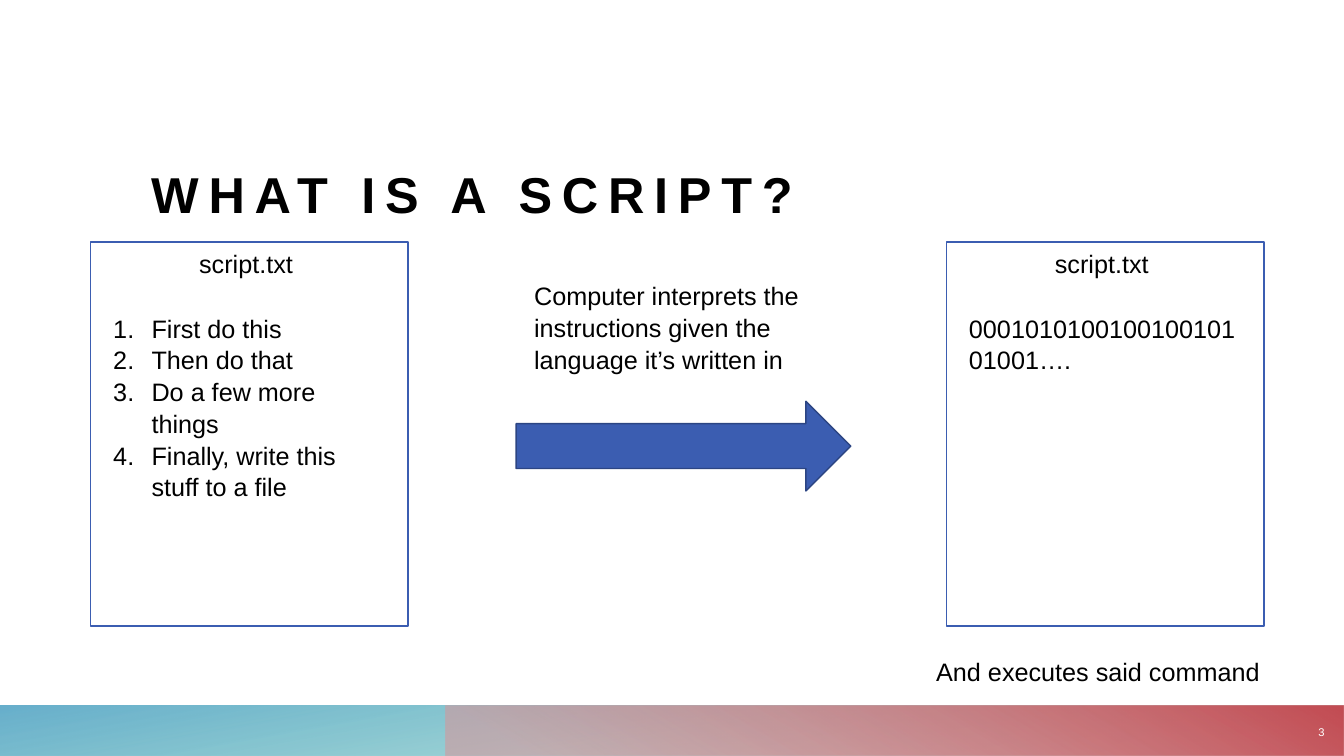
import pptx
import pptx.dml.color
import pptx.enum.shapes
import pptx.enum.text
import pptx.oxml
import pptx.oxml.ns
import pptx.util

RGBColor = pptx.dml.color.RGBColor
SHAPES = pptx.enum.shapes.MSO_SHAPE
ALIGN = pptx.enum.text.PP_ALIGN
ANCHOR = pptx.enum.text.MSO_ANCHOR

BLACK = RGBColor(0x00, 0x00, 0x00)
WHITE = RGBColor(0xFF, 0xFF, 0xFF)
BLUE = RGBColor(0x3B, 0x5D, 0xB1)
NAVY = RGBColor(0x2C, 0x45, 0x83)
TEAL = RGBColor(0x3B, 0xB1, 0xA3)
SKY = RGBColor(0x4D, 0xA1, 0xC3)
PINK = RGBColor(0xDB, 0x94, 0x98)
RED = RGBColor(0xC3, 0x4D, 0x54)

BAND_TOP, BAND_HEIGHT = 93.33, 6.67
PAGE_TOP, PAGE_WIDTH, PAGE_HEIGHT = 32, 23.62, 50.8
LINE_HEIGHT = 5.33


class Slide:
    """One slide on a grid of 100 columns by 100 rows."""

    font = "Arial"
    body_size = 18
    line_spacing = 1.05

    def __init__(self, deck):
        self.column = deck.slide_width / 100
        self.row = deck.slide_height / 100
        self.page = deck.slides.add_slide(deck.slide_layouts[6])

    def place(self, left, top, width, height):
        return (round(left * self.column), round(top * self.row),
                round(width * self.column), round(height * self.row))

    def shape(self, kind, area, fill, line=None):
        box = self.page.shapes.add_shape(kind, *self.place(*area))
        box.shadow.inherit = False
        box.fill.solid()
        box.fill.fore_color.rgb = fill
        if line is None:
            box.line.fill.background()
        else:
            box.line.color.rgb = line
            box.line.width = pptx.util.Pt(1)
        return box

    def band(self, left, width, stops, angle, rotation=0):
        """Mirrored footer band; each stop is (position, colour, opacity) in percent."""
        box = self.shape(SHAPES.RECTANGLE, (left, BAND_TOP, width, BAND_HEIGHT), WHITE)
        box.rotation = rotation
        properties = box._element.spPr
        properties.find(pptx.oxml.ns.qn("a:xfrm")).set("flipH", "1")
        stop_xml = "".join(
            f'<a:gs pos="{position * 1000}"><a:srgbClr val="{color}">'
            f'<a:alpha val="{opacity * 1000}"/></a:srgbClr></a:gs>'
            for position, color, opacity in stops)
        gradient = pptx.oxml.parse_xml(
            f'<a:gradFill {pptx.oxml.ns.nsdecls("a")} rotWithShape="1">'
            f'<a:gsLst>{stop_xml}</a:gsLst>'
            f'<a:lin ang="{angle * 60000}" scaled="0"/></a:gradFill>')
        properties.replace(properties.find(pptx.oxml.ns.qn("a:solidFill")), gradient)

    def text(self, area, lines, size=body_size, color=BLACK, align=ALIGN.LEFT,
             anchor=ANCHOR.TOP, numbered=False):
        box = self.page.shapes.add_textbox(*self.place(*area))
        frame = box.text_frame
        frame.word_wrap = True
        frame.vertical_anchor = anchor
        for index, line in enumerate(lines):
            para = frame.paragraphs[0] if index == 0 else frame.add_paragraph()
            para.alignment = align
            para.line_spacing = self.line_spacing
            if numbered:
                self.number(para)
            span = para.add_run()
            span.text = line
            span.font.name = self.font
            span.font.size = pptx.util.Pt(size)
            span.font.color.rgb = color
        return box

    def number(self, para):
        properties = para._p.get_or_add_pPr()
        indent = pptx.util.Inches(0.38)
        properties.set("marL", str(indent))
        properties.set("indent", str(-indent))
        namespace = pptx.oxml.ns.nsdecls("a")
        for xml in (f'<a:buFont {namespace} typeface="{self.font}"/>',
                    f'<a:buAutoNum {namespace} type="arabicPeriod"/>'):
            properties.append(pptx.oxml.parse_xml(xml))

    def title(self, area, wording):
        box = self.text(area, [wording], size=36, anchor=ANCHOR.BOTTOM)
        frame = box.text_frame
        frame.margin_left = frame.margin_right = 0
        frame.margin_top = frame.margin_bottom = 0
        para = frame.paragraphs[0]
        para.line_spacing = 1.0
        span = para.runs[0]
        span.font.bold = True
        span.font._element.set("spc", "700")

    def file_page(self, left, name, lines, height, numbered=False):
        """Outlined sheet with a file name above its contents."""
        self.shape(SHAPES.RECTANGLE, (left, PAGE_TOP, PAGE_WIDTH, PAGE_HEIGHT), WHITE, BLUE)
        self.text((left + 7.33, PAGE_TOP, 8.78, LINE_HEIGHT), [name])
        self.text((left + 0.94, 40.53, 21.75, height), lines, numbered=numbered)


def main():
    deck = pptx.Presentation()
    deck.slide_width = pptx.util.Inches(13.33)
    deck.slide_height = pptx.util.Inches(7.5)
    slide = Slide(deck)

    slide.band(0, 100, [(14, TEAL, 28), (100, SKY, 85)], 100, rotation=180)
    slide.band(33.12, 66.88, [(9, PINK, 55), (99, RED, 100)], 240)
    slide.title((11.25, 11.6, 84, 18), "WHAT IS A SCRIPT?")

    slide.file_page(6.75, "script.txt", [
        "First do this",
        "Then do that",
        "Do a few more things",
        "Finally, write this stuff to a file",
    ], 25.6, numbered=True)
    slide.shape(SHAPES.RIGHT_ARROW, (38.4, 53.07, 24.9, 11.87), BLUE, NAVY)
    slide.text((39, 36.27, 23.62, 13.47),
               ["Computer interprets the instructions given the language it’s written in"])
    slide.file_page(70.42, "script.txt", ["000101010010010010101001…."], 9.47)
    slide.text((68.92, 86, 26.25, LINE_HEIGHT), ["And executes said command"])
    slide.text((95.7, 93.47, 3.6, 6.53), ["3"], size=8, color=WHITE,
               align=ALIGN.RIGHT, anchor=ANCHOR.MIDDLE)

    deck.save("out.pptx")


if __name__ == "__main__":
    main()
